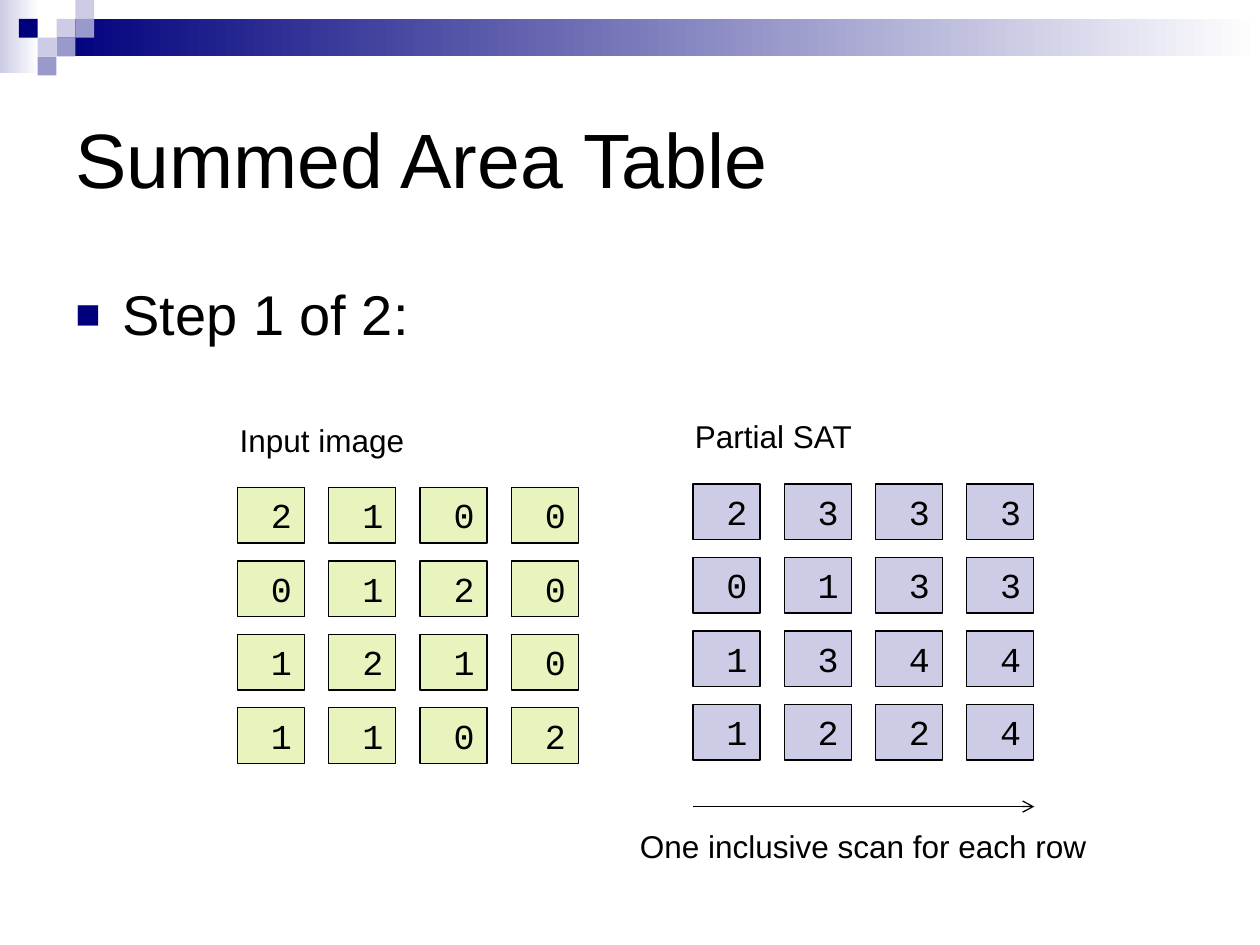
from dataclasses import dataclass

from lxml.etree import SubElement
from pptx import Presentation
from pptx.dml.color import RGBColor
from pptx.enum.shapes import MSO_CONNECTOR as Connector, MSO_SHAPE as Shape
from pptx.enum.text import MSO_ANCHOR as Anchor, PP_ALIGN as Align
from pptx.oxml.ns import qn
from pptx.util import Cm, Pt

BLACK = "000000"
WHITE = "FFFFFF"
NAVY = "00007D"
LAVENDER = "CCCCE6"
PERIWINKLE = "9999CC"
LIME = "E7F4BE"

TILE = 0.38
CELL_WIDTH, CELL_HEIGHT = 1.35, 1.12
COLUMN_STEP, ROW_STEP = 1.84, 1.48


@dataclass
class Box:
    left: float
    top: float
    width: float
    height: float

    def lengths(self) -> tuple:
        return Cm(self.left), Cm(self.top), Cm(self.width), Cm(self.height)


@dataclass
class Tile:
    column: int
    row: int
    color: str


@dataclass
class Label:
    text: str
    box: Box
    size: int = 18
    anchor: Anchor = Anchor.TOP


@dataclass
class Matrix:
    left: float
    top: float
    color: str
    rows: list[list[int]]


TILES = [
    Tile(3, 1, LAVENDER),
    Tile(4, 0, LAVENDER),
    Tile(4, 1, PERIWINKLE),
    Tile(2, 2, LAVENDER),
    Tile(1, 1, NAVY),
    Tile(3, 2, PERIWINKLE),
    Tile(2, 3, PERIWINKLE),
]

INPUT_ROWS = [[2, 1, 0, 0], [0, 1, 2, 0], [1, 2, 1, 0], [1, 1, 0, 2]]
PARTIAL_ROWS = [[2, 3, 3, 3], [0, 1, 3, 3], [1, 3, 4, 4], [1, 2, 2, 4]]

MATRICES = [
    Matrix(4.79, 9.83, LIME, INPUT_ROWS),
    Matrix(13.97, 9.76, LAVENDER, PARTIAL_ROWS),
]

TITLE = Label("Summed Area Table", Box(1.27, 1.27, 22.86, 3.81), 44, Anchor.MIDDLE)
STEP = Label("Step 1 of 2:", Box(1.27, 5.52, 7.87, 1.42), 32)
CAPTIONS = [
    Label("Input image", Box(4.58, 8.36, 4, 1.02)),
    Label("Partial SAT", Box(13.76, 8.28, 3.9, 1.02)),
    Label("One inclusive scan for each row", Box(12.65, 16.54, 9.7, 1.02)),
]


def rgb(color: str) -> RGBColor:
    return RGBColor.from_string(color)


def add_rectangle(slide, box: Box):
    shape = slide.shapes.add_shape(Shape.RECTANGLE, *box.lengths())
    shape.shadow.inherit = False
    shape.line.fill.background()
    return shape


def add_fade(slide, box: Box, color: str) -> None:
    fill = add_rectangle(slide, box).fill
    fill.gradient()
    fill.gradient_angle = 0
    for stop, stop_color in zip(fill.gradient_stops, (color, WHITE)):
        stop.color.rgb = rgb(stop_color)


def add_tile(slide, tile: Tile) -> None:
    box = Box(tile.column * TILE, tile.row * TILE, TILE, TILE)
    fill = add_rectangle(slide, box).fill
    fill.solid()
    fill.fore_color.rgb = rgb(tile.color)


def write(paragraph, text: str, size: int, font_name: str) -> None:
    paragraph.alignment = Align.LEFT
    run = paragraph.add_run()
    run.text = text
    run.font.size = Pt(size)
    run.font.name = font_name
    run.font.color.rgb = rgb(BLACK)


def add_label(slide, label: Label):
    frame = slide.shapes.add_textbox(*label.box.lengths()).text_frame
    frame.word_wrap = True
    frame.vertical_anchor = label.anchor
    paragraph = frame.paragraphs[0]
    write(paragraph, label.text, label.size, "Arial")
    return paragraph


def add_square_bullet(paragraph, color: str) -> None:
    paragraph.space_before = Pt(8)
    properties = paragraph._p.get_or_add_pPr()
    indent = Cm(0.95)
    properties.set("marL", str(indent))
    properties.set("indent", str(-indent))
    bullet_color = SubElement(properties, qn("a:buClr"))
    SubElement(bullet_color, qn("a:srgbClr"), val=color)
    SubElement(properties, qn("a:buSzPct"), val="75000")
    SubElement(properties, qn("a:buFont"), typeface="Arial")
    SubElement(properties, qn("a:buChar"), char="■")


def add_cell(slide, box: Box, color: str, value: int) -> None:
    shape = add_rectangle(slide, box)
    shape.fill.solid()
    shape.fill.fore_color.rgb = rgb(color)
    shape.line.color.rgb = rgb(BLACK)
    shape.line.width = Pt(0.75)
    frame = shape.text_frame
    frame.word_wrap = False
    frame.vertical_anchor = Anchor.TOP
    write(frame.paragraphs[0], f" {value}", 20, "Courier New")


def add_matrix(slide, matrix: Matrix) -> None:
    for row, values in enumerate(matrix.rows):
        for column, value in enumerate(values):
            left = matrix.left + column * COLUMN_STEP
            top = matrix.top + row * ROW_STEP
            box = Box(left, top, CELL_WIDTH, CELL_HEIGHT)
            add_cell(slide, box, matrix.color, value)


def add_scan_arrow(slide, left: float, right: float, top: float) -> None:
    arrow = slide.shapes.add_connector(
        Connector.STRAIGHT, Cm(left), Cm(top), Cm(right), Cm(top)
    )
    arrow.line.color.rgb = rgb(BLACK)
    arrow.line.width = Pt(0.75)
    SubElement(arrow.line._get_or_add_ln(), qn("a:tailEnd"), type="arrow")
    SubElement(arrow._element.spPr, qn("a:effectLst"))


def main() -> None:
    presentation = Presentation()
    presentation.slide_width = Cm(25.4)
    presentation.slide_height = Cm(19.05)
    slide = presentation.slides.add_slide(presentation.slide_layouts[6])

    add_fade(slide, Box(0, 0, 0.79, 1.47), LAVENDER)
    add_fade(slide, Box(3 * TILE, TILE, 25.4 - 3 * TILE, 2 * TILE), NAVY)
    for tile in TILES:
        add_tile(slide, tile)

    add_label(slide, TITLE)
    for matrix in MATRICES:
        add_matrix(slide, matrix)
    for caption in CAPTIONS:
        add_label(slide, caption)
    add_scan_arrow(slide, 13.97, 20.85, 16.26)
    add_square_bullet(add_label(slide, STEP), NAVY)

    presentation.save("out.pptx")


if __name__ == "__main__":
    main()
